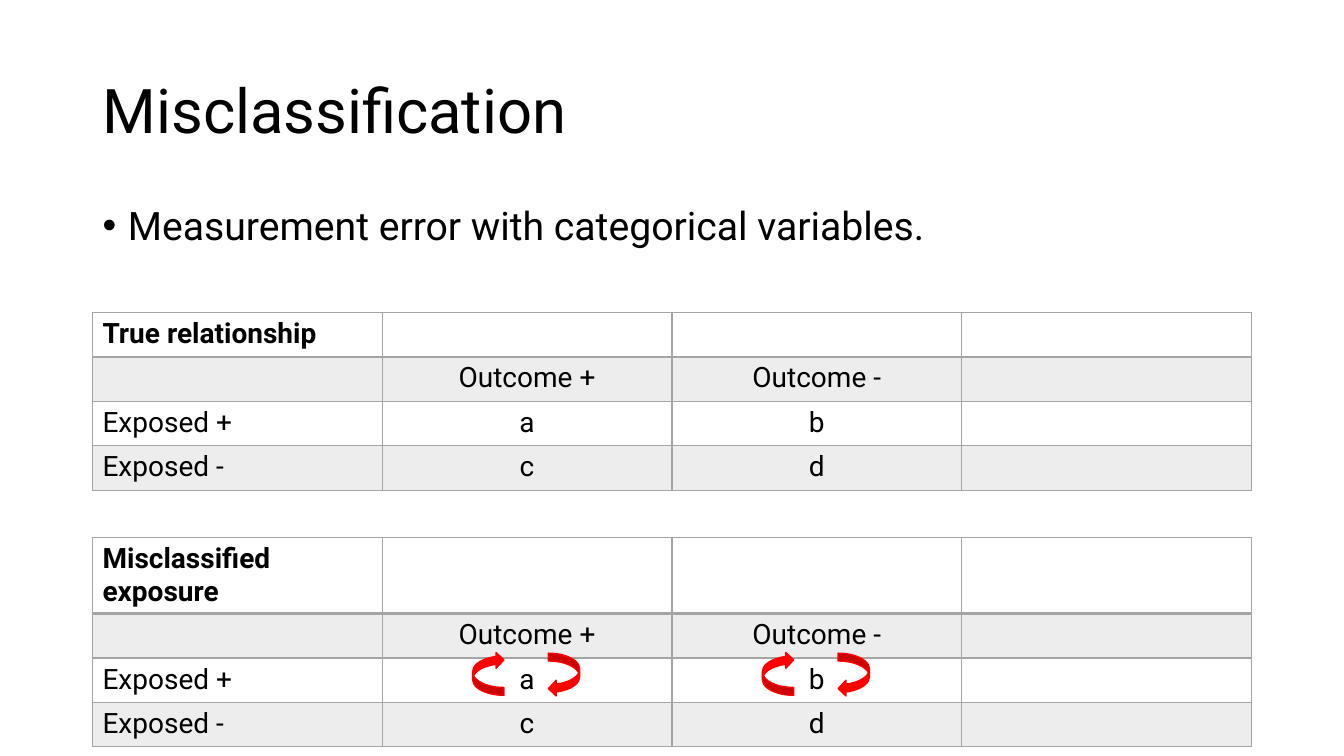
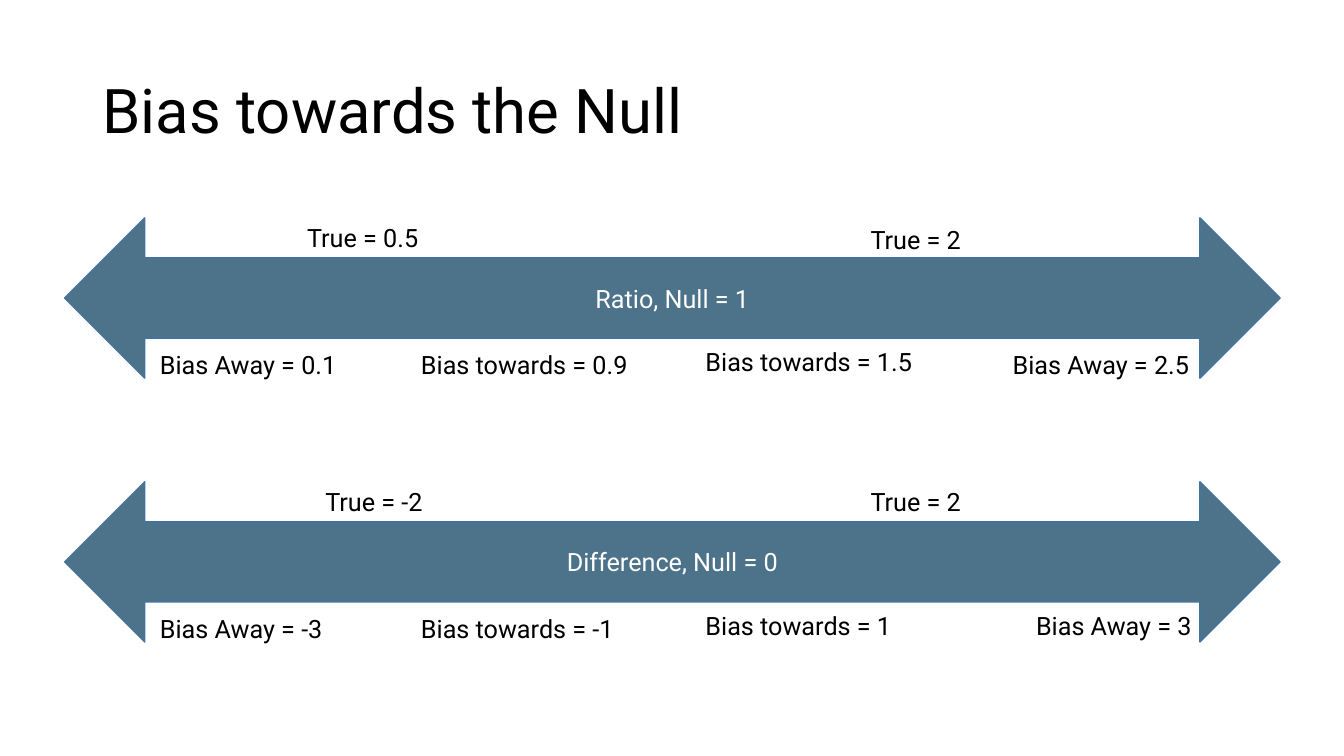
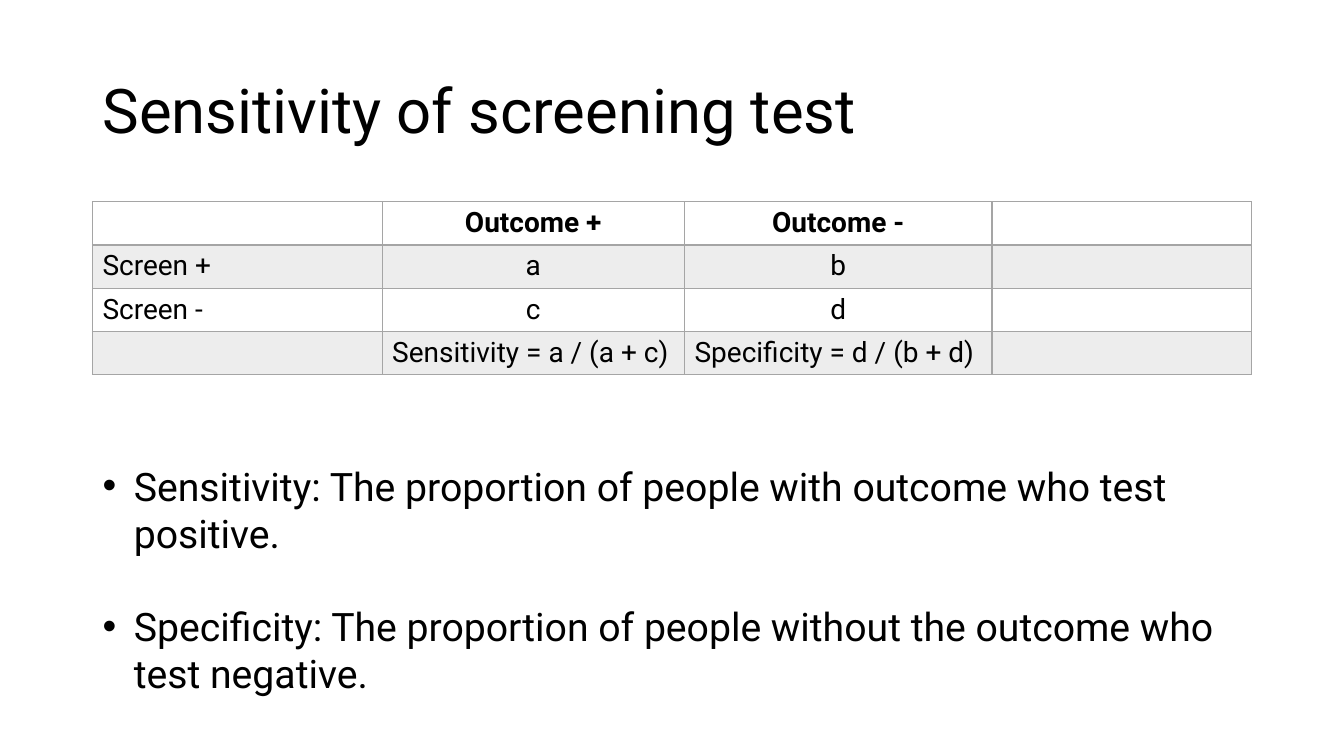
import pptx
import pptx.dml.color
import pptx.enum.shapes
import pptx.enum.text
import pptx.oxml.ns
import pptx.util
import lxml.etree

Cm = pptx.util.Cm
Pt = pptx.util.Pt
ALIGN = pptx.enum.text.PP_ALIGN
ANCHOR = pptx.enum.text.MSO_ANCHOR
SHAPE = pptx.enum.shapes.MSO_SHAPE

FONT = "Roboto"
BLACK, WHITE, RED = "000000", "FFFFFF", "FF0000"
GREY, BLUE, EDGE = "A5A5A5", "4D738A", "43739E"
LEFT, WIDE = 2.33, 29.21

COUNTS = [
    ["", "Outcome +", "Outcome -", ""],
    ["Exposed +", "a", "b", ""],
    ["Exposed -", "c", "d", ""],
]
GRIDS = [
    ("True relationship", 7.87, [1.12] * 4),
    ("Misclassified exposure", 13.54, [1.92] + [1.12] * 3),
]
EVEN = [WIDE / 4] * 4
SWAPS = [(13.82, 16.46, 0), (11.91, 16.43, 180)]

BANDS = [
    (5.49, "Ratio, Null = 1", [
        ("True = 2", 21.69, 0.03, 3.25),
        ("Bias towards = 1.5", 17.53, 3.12, 6),
        ("Bias Away = 2.5", 25.27, 3.18, 6),
        ("True = 0.5", 7.49, 0, 3.56),
        ("Bias towards = 0.9", 10.36, 3.18, 6),
        ("Bias Away = 0.1", 3.78, 3.18, 6),
    ]),
    (12.14, "Difference, Null = 0", [
        ("True = 2", 21.69, 0, 3.25),
        ("Bias towards = 1", 17.53, 3.12, 6),
        ("Bias Away = 3", 25.86, 3.12, 6),
        ("True = -2", 7.95, 0, 3.1),
        ("Bias towards = -1", 10.36, 3.18, 6),
        ("Bias Away = -3", 3.78, 3.18, 6),
    ]),
]

SCREEN = [
    ["", "Outcome +", "Outcome -", ""],
    ["Screen +", "a", "b", ""],
    ["Screen -", "c", "d", ""],
    ["", "Sensitivity = a / (a + c)", "Specificity = d / (b + d)", ""],
]
TERMS = [
    "Sensitivity: The proportion of people with outcome who test positive.",
    "Specificity: The proportion of people without the outcome who test negative.",
]


def paint(code):
    return pptx.dml.color.RGBColor.from_string(code)


def add_tag(parent, name, **attrs):
    return lxml.etree.SubElement(parent, pptx.oxml.ns.qn(name), attrs)


def style(para, size, tint=BLACK, bold=False, align=ALIGN.LEFT):
    para.alignment = align
    font = para.font
    font.name, font.size, font.bold = FONT, Pt(size), bold
    font.color.rgb = paint(tint)


def place(shape, left, top, width, height):
    shape.left, shape.top = Cm(left), Cm(top)
    shape.width, shape.height = Cm(width), Cm(height)


def add_slide(deck, title, layout):
    slide = deck.slides.add_slide(deck.slide_layouts[layout])
    head = slide.shapes.title
    place(head, LEFT, 1.02, WIDE, 3.68)
    frame = head.text_frame
    frame.text = title
    frame.vertical_anchor = ANCHOR.MIDDLE
    frame.auto_size = pptx.enum.text.MSO_AUTO_SIZE.NONE
    frame.paragraphs[0].line_spacing = 0.9
    style(frame.paragraphs[0], 44)
    return slide


def add_list(slide, items, top, height, indent, line, gap=0):
    body = slide.placeholders[1]
    place(body, LEFT, top, WIDE, height)
    frame = body.text_frame
    frame.text = "\n".join(items)
    frame.auto_size = pptx.enum.text.MSO_AUTO_SIZE.NONE
    for rank, para in enumerate(frame.paragraphs):
        props = para._p.get_or_add_pPr()
        props.set("marL", str(Cm(indent)))
        props.set("indent", str(-Cm(indent)))
        add_tag(props, "a:buFont", typeface="Arial")
        add_tag(props, "a:buChar", char="•")
        para.line_spacing = line
        para.space_before = Pt(gap if rank else 0)
        style(para, 28)


def dress(cell, row):
    props = cell._tc.get_or_add_tcPr()
    for side in "LRTB":
        thick = (row == 0 and side == "B") or (row == 1 and side == "T")
        edge = add_tag(props, "a:ln" + side, w=str(Pt(2 if thick else 1)))
        add_tag(add_tag(edge, "a:solidFill"), "a:srgbClr", val=GREY)
    if row % 2:
        cell.fill.solid()
        cell.fill.fore_color.rgb = paint(GREY)
        tint = props.find(pptx.oxml.ns.qn("a:solidFill"))[0]
        add_tag(tint, "a:alpha", val="20000")
    else:
        cell.fill.background()


def add_grid(slide, rows, top, widths, heights):
    table = slide.shapes.add_table(
        len(rows), len(widths), Cm(LEFT), Cm(top),
        Cm(sum(widths)), Cm(sum(heights))).table
    table.first_row = table.horz_banding = False
    for column, width in zip(table.columns, widths):
        column.width = Cm(width)
    for row, height in zip(table.rows, heights):
        row.height = Cm(height)
    for r, row in enumerate(rows):
        for c, text in enumerate(row):
            cell = table.cell(r, c)
            dress(cell, r)
            cell.text = text
            mid = c > 0 and "=" not in text
            style(cell.text_frame.paragraphs[0], 20, bold=r == 0,
                  align=ALIGN.CENTER if mid else ALIGN.LEFT)


def add_arrow(slide, kind, box, fill, line):
    arrow = slide.shapes.add_shape(kind, *map(Cm, box))
    arrow.shadow.inherit = False
    arrow.fill.solid()
    arrow.fill.fore_color.rgb = paint(fill)
    arrow.line.color.rgb = paint(line)
    arrow.line.width = Pt(1)
    return arrow


def add_label(slide, text, left, top, width):
    box = slide.shapes.add_textbox(Cm(left), Cm(top), Cm(width), Cm(1.02))
    box.text_frame.word_wrap = True
    box.text_frame.text = text
    style(box.text_frame.paragraphs[0], 18)


def build_error(deck):
    slide = add_slide(deck, "Misclassification", 1)
    add_list(slide, ["Measurement error with categorical variables."],
             5.08, 12.09, 0.64, 0.9)
    for name, top, heights in GRIDS:
        add_grid(slide, [[name, "", "", ""]] + COUNTS, top, EVEN, heights)
    for shift in (0, EVEN[0]):
        for left, top, turn in SWAPS:
            arrow = add_arrow(slide, SHAPE.CURVED_LEFT_ARROW,
                              (left + shift, top, 0.79, 1.09), RED, RED)
            arrow.rotation = turn


def build_bias(deck):
    slide = add_slide(deck, "Bias towards the Null", 5)
    for top, name, labels in BANDS:
        arrow = add_arrow(slide, SHAPE.LEFT_RIGHT_ARROW,
                          (1.63, top, 30.63, 4.04), BLUE, EDGE)
        frame = arrow.text_frame
        frame.text = name
        frame.vertical_anchor = ANCHOR.MIDDLE
        style(frame.paragraphs[0], 18, WHITE, align=ALIGN.CENTER)
        for text, left, drop, width in labels:
            add_label(slide, text, left, top + drop, width)


def build_screen(deck):
    slide = add_slide(deck, "Sensitivity of screening test", 1)
    add_grid(slide, SCREEN, 5.08, [7.3, 7.62, 7.75, 6.54], [1.09] * 4)
    add_list(slide, TERMS, 11.51, 6.25, 0.79, 1.0, 33)


def main():
    deck = pptx.Presentation()
    deck.slide_width, deck.slide_height = Cm(33.87), Cm(19.05)
    for build in (build_error, build_bias, build_screen):
        build(deck)
    deck.save("out.pptx")


if __name__ == "__main__":
    main()
